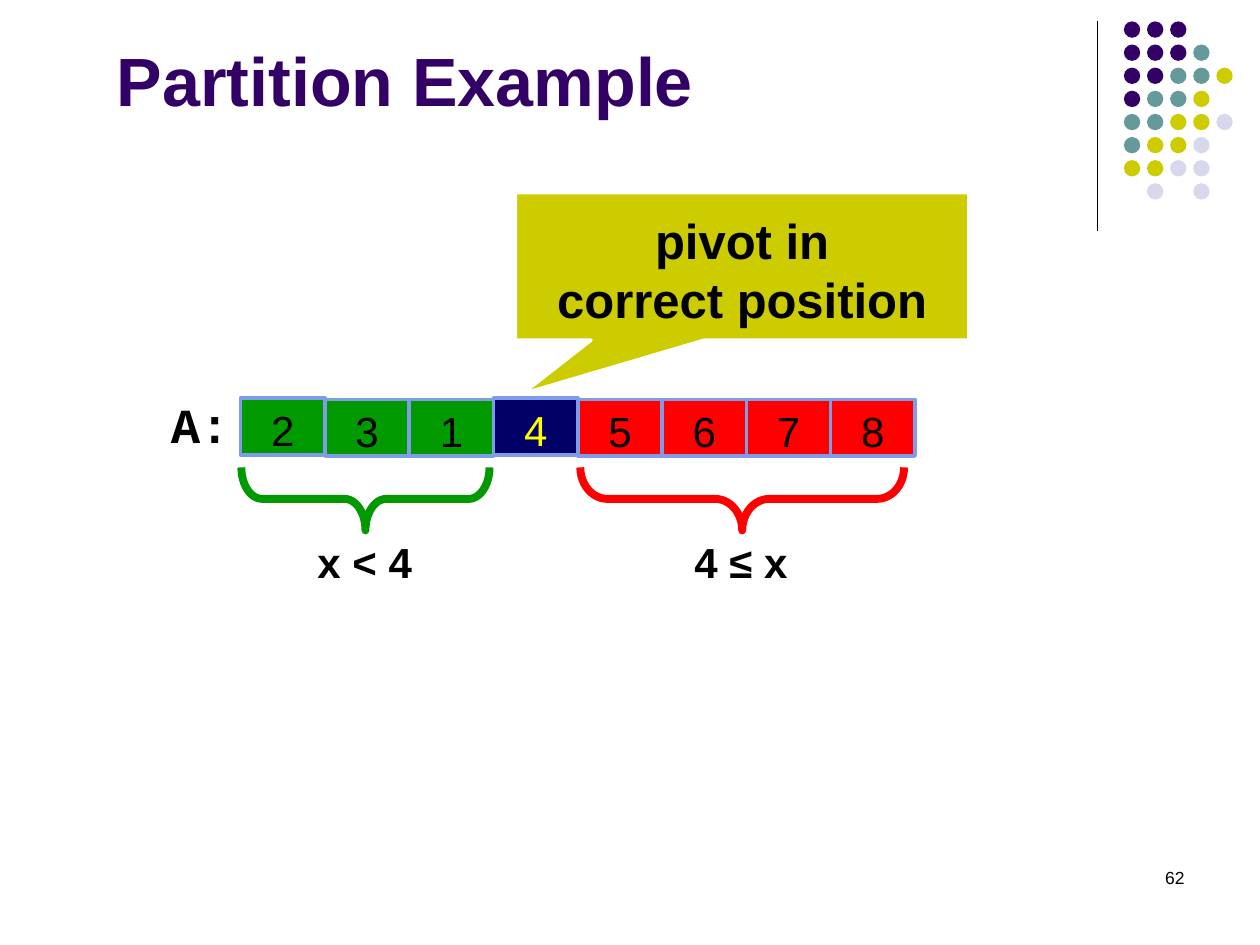
"""Build the Partition Example slide."""
from lxml.etree import SubElement
from pptx import Presentation
from pptx.dml.color import RGBColor
from pptx.enum.shapes import MSO_CONNECTOR, MSO_SHAPE
from pptx.enum.text import MSO_ANCHOR, MSO_AUTO_SIZE, PP_ALIGN
from pptx.oxml.ns import qn
from pptx.util import Inches, Pt


def add_shape(kind, x, y, w, h, fill=None, line=None, width=2):
    sp = s.shapes.add_shape(kind, Inches(x), Inches(y), Inches(w), Inches(h))
    sp.shadow.inherit = False
    for part, color in ((sp.fill, fill), (sp.line.fill, line)):
        if color:
            part.solid()
            part.fore_color.rgb = RGBColor.from_string(color)
        else:
            part.background()
    if line:
        sp.line.width = Pt(width)
    return sp


def add_text(sp, lines, size, color="000000", bold=False, align=PP_ALIGN.CENTER,
             font="Arial", before=0, bottom=0.05, anchor=MSO_ANCHOR.TOP,
             wrap=True, fit=MSO_AUTO_SIZE.NONE):
    tf = sp.text_frame
    tf.word_wrap = wrap
    tf.auto_size = fit
    tf.vertical_anchor = anchor
    tf.margin_left = tf.margin_right = Inches(0.1)
    tf.margin_top, tf.margin_bottom = Inches(0.05), Inches(bottom)
    for i, line in enumerate(lines):
        p = tf.add_paragraph() if i else tf.paragraphs[0]
        p.alignment = align
        p.space_before = Pt(before)
        r = p.add_run()
        r.text = line
        r.font.name, r.font.size, r.font.bold = font, Pt(size), bold
        r.font.color.rgb = RGBColor.from_string(color)


prs = Presentation()
prs.slide_width, prs.slide_height = Inches(10), Inches(7.5)
s = prs.slides.add_slide(prs.slide_layouts[6])
GROW = MSO_AUTO_SIZE.SHAPE_TO_FIT_TEXT

rule = s.shapes.add_connector(MSO_CONNECTOR.STRAIGHT, Inches(8.71), Inches(0.17),
                              Inches(8.71), Inches(1.83))
rule.line.color.rgb = RGBColor.from_string("000000")
rule.line.width = Pt(0.75)
SubElement(rule._element.spPr, qn("a:effectLst"))

dots = {"P": "330066", "T": "669999", "Y": "CCCC00", "L": "D8D8EC"}
rows = ["PPP", "PPPT", "PPTTY", "PTTY", "TTYYL", "TYYL", "YYLL", ".L.L"]
for i, row in enumerate(rows):
    for j, key in enumerate(row):
        if key in dots:
            add_shape(MSO_SHAPE.OVAL, 8.92 + j * 0.1835, 0.17 + i * 0.1835,
                      0.13, 0.13, dots[key])

tb = s.shapes.add_textbox(Inches(7.17), Inches(6.83), Inches(2.33), Inches(0.5))
add_text(tb, ["62"], 10, align=PP_ALIGN.RIGHT)

tb = s.shapes.add_textbox(Inches(0.17), Inches(3.08), Inches(1.75), Inches(0.57))
add_text(tb, ["A:"], 28, bold=True, align=PP_ALIGN.RIGHT, font="Courier New",
         before=17.5, fit=GROW)

green, navy, red = "009900", "000066", "FF0000"
cells = [(1, 3, green), (5, 6, red), (6, 7, red), (7, 8, red),
         (2, 1, green), (4, 5, red), (3, 4, navy), (0, 2, green)]
for i, value, fill in cells:
    y = 3.16 if i in (0, 3) else 3.17
    sp = add_shape(MSO_SHAPE.RECTANGLE, 1.91 + i * 0.669, y, 0.67, 0.45, fill, "7E9CE8")
    add_text(sp, [str(value)], 24, "FFFF00" if fill == navy else "000000",
             before=15, bottom=0, fit=GROW)

braces = [(2.9, 1.97, 0.33, green, "x < 4", 2.31, 1.17),
          (5.89, 2.57, 0.43, red, "4 ≤ x", 5.12, 1.52)]
for center, span, curve, color, label, x, w in braces:
    sp = add_shape(MSO_SHAPE.RIGHT_BRACE, center - 0.25, 3.96 - span / 2, 0.5, span,
                   line=color, width=4.5)
    sp.rotation = 90
    sp.adjustments[0] = curve
    tb = s.shapes.add_textbox(Inches(x), Inches(4.21), Inches(w), Inches(0.5))
    add_text(tb, [label], 24, bold=True, before=15, fit=GROW)

sp = add_shape(MSO_SHAPE.RECTANGULAR_CALLOUT, 4.09, 1.53, 3.6, 1.17, "CCCC00", "FFFFFF")
sp.adjustments[0], sp.adjustments[1] = -0.485, 0.865
add_text(sp, ["pivot in", "correct position"], 28, bold=True, bottom=0,
         anchor=MSO_ANCHOR.MIDDLE, wrap=False)

tb = s.shapes.add_textbox(Inches(0.83), Inches(0), Inches(8.5), Inches(1.25))
add_text(tb, ["Partition Example"], 39, "330066", True, PP_ALIGN.LEFT,
         anchor=MSO_ANCHOR.MIDDLE)

prs.save("out.pptx")
